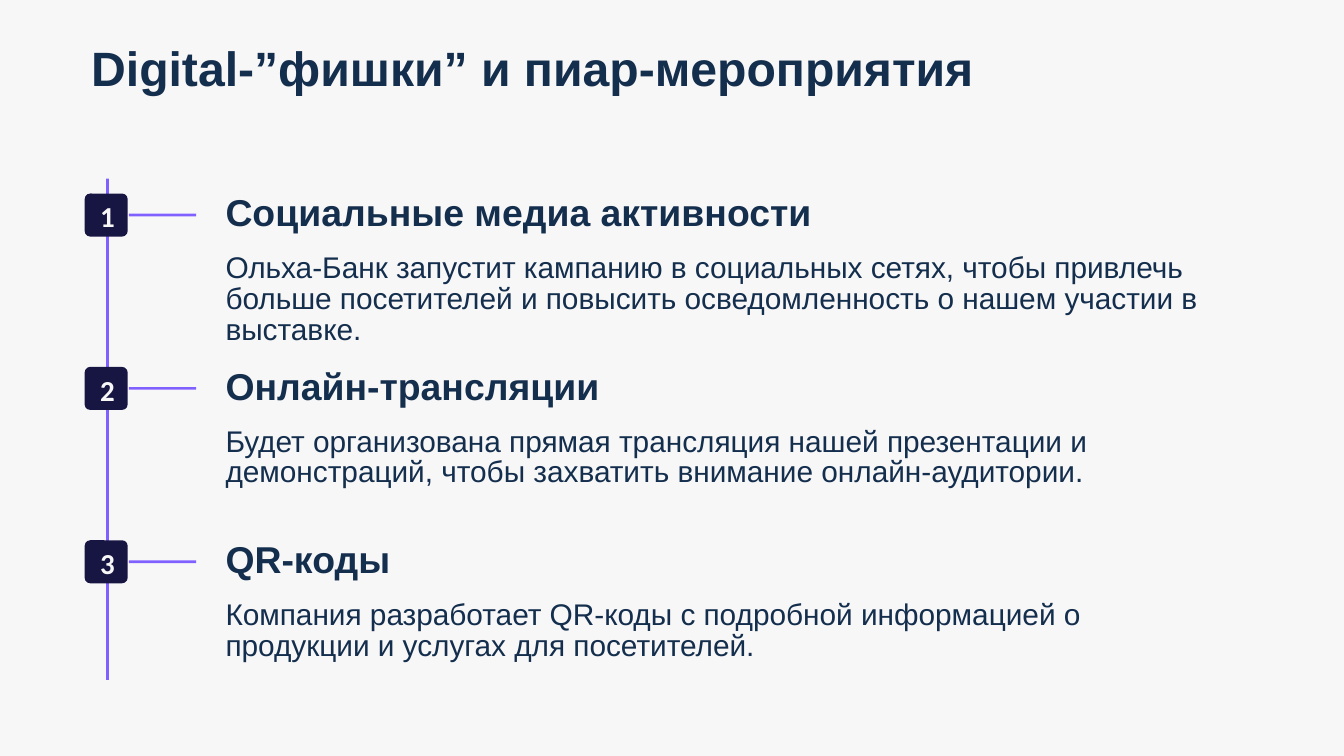
from pptx import Presentation
from pptx.dml.color import RGBColor
from pptx.enum.shapes import MSO_SHAPE as SHAPE
from pptx.enum.text import PP_ALIGN as ALIGN
from pptx.util import Inches, Pt

TITLE = "Digital-”фишки” и пиар-мероприятия"
ITEMS = [
    ("Социальные медиа активности",
     "Ольха-Банк запустит кампанию в социальных сетях, чтобы привлечь "
     "больше посетителей и повысить осведомленность о нашем участии в выставке."),
    ("Онлайн-трансляции",
     "Будет организована прямая трансляция нашей презентации и "
     "демонстраций, чтобы захватить внимание онлайн-аудитории."),
    ("QR-коды",
     "Компания разработает QR-коды с подробной информацией о "
     "продукции и услугах для посетителей."),
]

PAPER, INK, ACCENT, BADGE = "F8F7F7", "142E4D", "8061FF", "171542"
FORMATS = {
    "title": {"size": Pt(25.8), "name": "Arial", "bold": True},
    "heading": {"size": Pt(20), "name": "Arial", "bold": True},
    "body": {"size": Pt(16), "name": "Arial", "bold": False},
    "number": {"size": Pt(15.5), "name": "Calibri", "bold": True},
}
SPACING = {"title": 32.3, "heading": 16.1, "body": 16.5, "number": 19.4}
TOP, PITCH = 1.44, 1.29


def paint(color, hex_color):
    """Set a fill or font colour from a hex string."""
    color.rgb = RGBColor.from_string(hex_color)


def add_block(s, kind, box, hex_color):
    """Add a filled shape without outline or shadow."""
    sp = s.shapes.add_shape(kind, *map(Inches, box))
    sp.shadow.inherit = False
    sp.fill.solid()
    paint(sp.fill.fore_color, hex_color)
    sp.line.fill.background()
    return sp


def add_text(s, text, role, box, color=INK, align=ALIGN.LEFT, margin=0.1):
    """Add a one-paragraph text box in the format of its role."""
    tf = s.shapes.add_textbox(*map(Inches, box)).text_frame
    tf.word_wrap = True
    tf.margin_left = tf.margin_right = Inches(margin)
    p = tf.paragraphs[0]
    p.alignment = align
    p.line_spacing = Pt(SPACING[role])
    r = p.add_run()
    r.text = text
    for key, value in FORMATS[role].items():
        setattr(r.font, key, value)
    paint(r.font.color, color)


def add_item(s, number, heading, body):
    """Add one numbered step of the timeline."""
    y = TOP + (number - 1) * PITCH
    add_block(s, SHAPE.RECTANGLE, (0.96, y + 0.15, 0.5, 0.02), ACCENT)
    badge = add_block(s, SHAPE.ROUNDED_RECTANGLE, (0.63, y, 0.32, 0.32), BADGE)
    badge.adjustments[0] = 0.13
    add_text(s, str(number), "number", (0.73, y - 0.02, 0.14, 0.27),
             PAPER, ALIGN.CENTER, margin=0)
    add_text(s, heading, "heading", (1.58, y + 0.03, 4.7, 0.22))
    add_text(s, body, "body", (1.58, y + 0.4, 7.64, 0.46))


def main():
    """Build the slide and save it."""
    prs = Presentation()
    prs.slide_width, prs.slide_height = Inches(10), Inches(10 * 9 / 16)
    s = prs.slides.add_slide(prs.slide_layouts[6])
    s.background.fill.solid()
    paint(s.background.fill.fore_color, PAPER)
    add_text(s, TITLE, "title", (0.58, 0.22, 7.09, 0.9))
    add_block(s, SHAPE.RECTANGLE, (0.79, 1.33, 0.02, 3.73), ACCENT)
    for number, (heading, body) in enumerate(ITEMS, 1):
        add_item(s, number, heading, body)
    prs.save("out.pptx")


if __name__ == "__main__":
    main()
